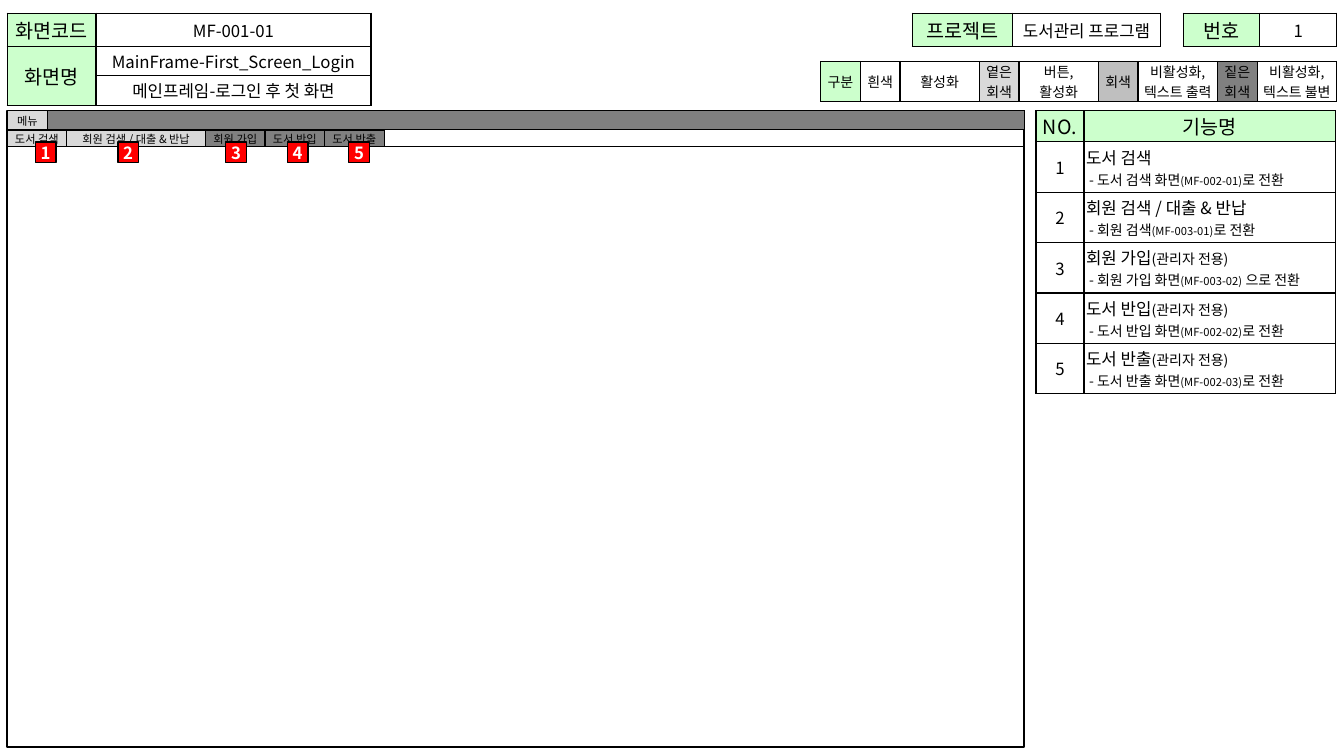
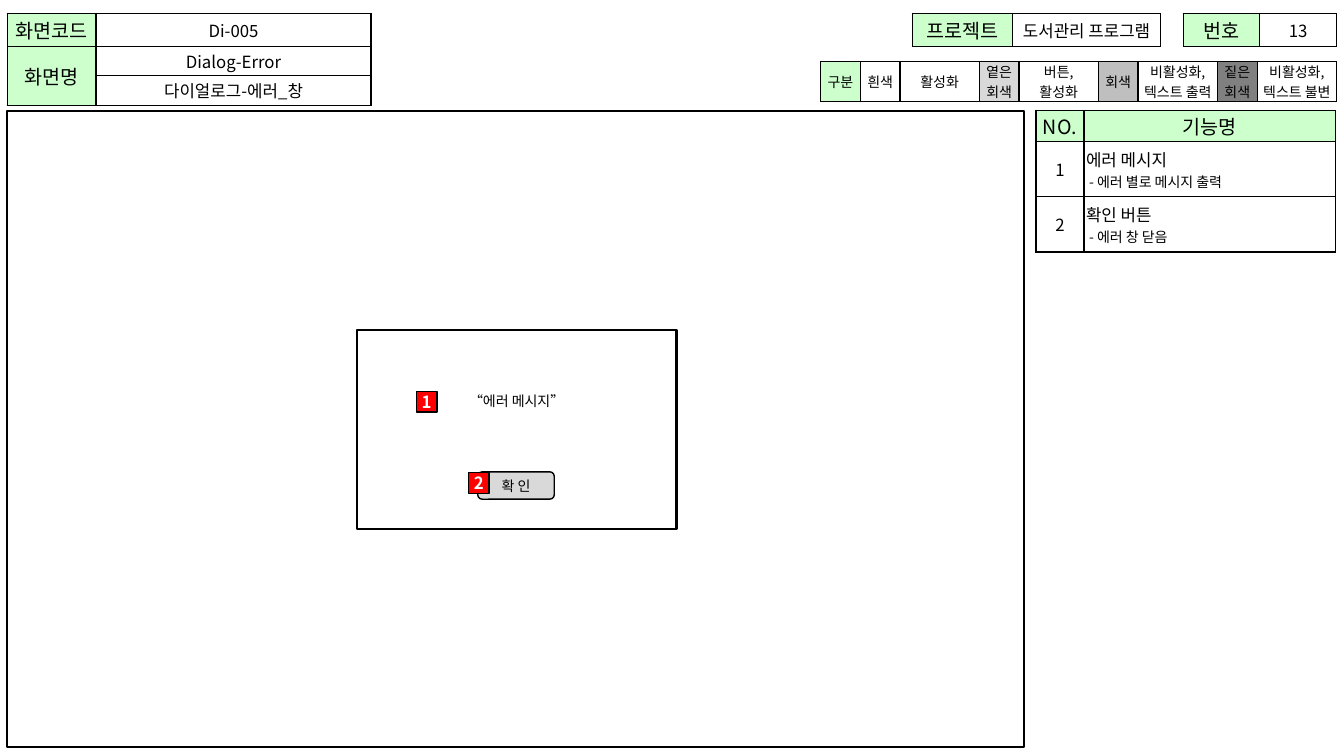
import pptx
import pptx.dml.color
import pptx.enum.shapes
import pptx.enum.text
import pptx.oxml
import pptx.oxml.ns
import pptx.util
from lxml import etree

Cm = pptx.util.Cm
Pt = pptx.util.Pt
qn = pptx.oxml.ns.qn
SHAPE = pptx.enum.shapes.MSO_SHAPE
ALIGN = pptx.enum.text.PP_ALIGN
MIDDLE = pptx.enum.text.MSO_ANCHOR.MIDDLE

FONT = "Noto Sans CJK KR"
BLACK, WHITE, RED = "000000", "FFFFFF", "FF0000"
GREEN, LIGHT, GREY, DARK = "CCFFCC", "D9D9D9", "BFBFBF", "808080"
LEFT, TOP = 0.18, 2.79
CANVAS_W, CANVAS_H = 25.63, 16.03
PAD = 0.05
ADMIN = ("(관리자 전용)", 10)


def rgb(value):
    """Return the colour for a hex string."""
    return pptx.dml.color.RGBColor.from_string(value)


def write(tf, lines, size, color=BLACK, bold=False, align=ALIGN.CENTER):
    """Write lines, each a string or a list of (text, size) runs."""
    for i, line in enumerate(lines):
        p = tf.add_paragraph() if i else tf.paragraphs[0]
        runs = [(line, size)] if isinstance(line, str) else line
        p.alignment = align
        p.font.name = FONT
        p.font.size = Pt(runs[0][1])
        p.font.bold = bold
        p.font.color.rgb = rgb(color)
        etree.SubElement(p.font._element, qn("a:ea"), typeface=FONT)
        for text, run_size in runs:
            if not text:
                etree.SubElement(p._p, qn("a:endParaRPr"), sz=str(run_size * 100))
                continue
            r = p.add_run()
            r.text = text
            if run_size != runs[0][1]:
                r.font.size = Pt(run_size)


def add_box(slide, x, y, w, h, fill=WHITE, width=1.0, kind=SHAPE.RECTANGLE):
    """Add an outlined shape, or a bare one when fill is None."""
    sp = slide.shapes.add_shape(kind, Cm(x), Cm(y), Cm(w), Cm(h))
    sp.shadow.inherit = False
    if fill is None:
        sp.fill.background()
        sp.line.fill.background()
    else:
        sp.fill.solid()
        sp.fill.fore_color.rgb = rgb(fill)
        sp.line.color.rgb = rgb(BLACK)
        sp.line.width = Pt(width)
    return sp


def add_label(sp, text, size, color=BLACK, bold=False, pad=PAD):
    """Put one centred line of text in a shape."""
    tf = sp.text_frame
    tf.word_wrap = True
    tf.vertical_anchor = MIDDLE
    tf.margin_left = tf.margin_right = Cm(pad)
    tf.margin_top = tf.margin_bottom = 0
    write(tf, [text], size, color, bold)


def add_badge(slide, number, x, y):
    """Add a red numbered marker."""
    add_label(add_box(slide, x, y, 0.52, 0.52, RED), str(number), 12, WHITE, True, 0)


def add_line(slide, x1, y1, x2, y2):
    """Add a thin black line."""
    line = slide.shapes.add_connector(
        pptx.enum.shapes.MSO_CONNECTOR.STRAIGHT, Cm(x1), Cm(y1), Cm(x2), Cm(y2))
    line.line.color.rgb = rgb(BLACK)
    line.line.width = Pt(1)
    etree.SubElement(line._element.spPr, qn("a:effectLst"))


def add_borders(cell):
    """Draw a black border on all four sides of a cell."""
    tc_pr = cell._tc.get_or_add_tcPr()
    for i, side in enumerate(("lnL", "lnR", "lnT", "lnB")):
        ln = etree.Element(qn("a:" + side), w=str(Pt(1)))
        fill = etree.SubElement(ln, qn("a:solidFill"))
        etree.SubElement(fill, qn("a:srgbClr"), val=BLACK)
        tc_pr.insert(i, ln)


def cell_of(text, size, fill=WHITE, align=ALIGN.CENTER):
    """Describe a table cell; text is a string or a list of lines."""
    return text.split("\n") if isinstance(text, str) else text, size, fill, align


def add_table(slide, x, y, cols, heights, rows, pad=0.0):
    """Add a bordered table; a cell of None joins the one above."""
    frame = slide.shapes.add_table(
        len(rows), len(cols), Cm(x), Cm(y), Cm(sum(cols)), Cm(sum(heights)))
    table = frame.table
    table.first_row = table.horz_banding = False
    for column, width in zip(table.columns, cols):
        column.width = Cm(width)
    for i, row in enumerate(rows):
        table.rows[i].height = Cm(heights[i])
        for j, content in enumerate(row):
            cell = table.cell(i, j)
            if content is None:
                table.cell(i - 1, j).merge(cell)
                add_borders(cell)
                continue
            lines, size, fill, align = content
            cell.fill.solid()
            cell.fill.fore_color.rgb = rgb(fill)
            cell.vertical_anchor = MIDDLE
            cell.margin_left = cell.margin_right = Cm(PAD)
            cell.margin_top = cell.margin_bottom = Cm(pad)
            write(cell.text_frame, lines, size, align=align)
            add_borders(cell)


def add_sheet(prs, code, name, title, number):
    """Add a slide with the shared header, legend and canvas."""
    slide = prs.slides.add_slide(prs.slide_layouts[6])
    add_box(slide, LEFT, TOP, CANVAS_W, CANVAS_H, width=1.5)
    add_table(slide, LEFT, 0.33, [2.24, 6.93], [0.84, 0.74, 0.74], [
        [cell_of("화면코드", 14, GREEN), cell_of(code, 12)],
        [cell_of("화면명", 14, GREEN), cell_of(name, 12)],
        [None, cell_of(title, 12)]], PAD)
    add_table(slide, 22.99, 0.33, [2.53, 3.73], [0.84], [
        [cell_of("프로젝트", 14, GREEN), cell_of("도서관리 프로그램", 12)]], PAD)
    add_table(slide, 29.82, 0.33, [1.93, 1.93], [0.84], [
        [cell_of("번호", 14, GREEN), cell_of(str(number), 12)]], PAD)
    legend = [("구분", GREEN), ("흰색", WHITE), ("활성화", WHITE),
              ("옅은\n회색", LIGHT), ("버튼,\n활성화", WHITE),
              ("회색", GREY), ("비활성화,\n텍스트 출력", WHITE),
              ("짙은\n회색", DARK), ("비활성화,\n텍스트 불변", WHITE)]
    add_table(slide, 20.68, 1.55, [1] + [1, 2] * 4, [0.46],
              [[cell_of(text, 10, fill) for text, fill in legend]])
    return slide


def add_functions(slide, row_height, functions):
    """List the numbered functions of the screen."""
    rows = [[cell_of("NO.", 14, GREEN), cell_of("기능명", 14, GREEN)]]
    for number, (heading, detail) in enumerate(functions, 1):
        rows.append([cell_of(str(number), 12),
                     cell_of([heading, detail], 12, align=ALIGN.LEFT)])
    add_table(slide, 26.11, TOP, [1.21, 6.34],
              [0.71] + [row_height] * len(functions), rows, 0.03)


def move_to(screen, code, ending="로 전환"):
    """Return the runs that tell which screen opens."""
    return [(" - " + screen, 10), (f"({code})", 8), (ending, 10)]


def build_main_frame(prs):
    """Build the first screen after login."""
    slide = add_sheet(prs, "MF-001-01", "MainFrame-First_Screen_Login",
                      "메인프레임-로그인 후 첫 화면", 1)
    add_table(slide, LEFT, TOP, [1.02, 24.61], [0.48],
              [[cell_of("메뉴", 8, LIGHT), cell_of("", 8, DARK)]])
    tabs = [("도서 검색", LIGHT), ("회원 검색 / 대출 & 반납", LIGHT),
            ("회원 가입", DARK), ("도서 반입", DARK), ("도서 반출", DARK)]
    add_table(slide, LEFT, 3.28, [1.5, 3.5, 1.5, 1.5, 1.5], [0.41],
              [[cell_of(text, 8, fill) for text, fill in tabs]])
    add_line(slide, LEFT, 3.69, LEFT + CANVAS_W, 3.69)
    add_functions(slide, 1.27, [
        ("도서 검색", move_to("도서 검색 화면", "MF-002-01")),
        ("회원 검색 / 대출 & 반납", move_to("회원 검색", "MF-003-01")),
        ([("회원 가입", 12), ADMIN],
         move_to("회원 가입 화면", "MF-003-02", " 으로 전환")),
        ([("도서 반입", 12), ADMIN], move_to("도서 반입 화면", "MF-002-02")),
        ([("도서 반출", 12), ADMIN], move_to("도서 반출 화면", "MF-002-03"))])
    for number, x in enumerate([0.89, 2.97, 5.69, 7.24, 8.79], 1):
        add_badge(slide, number, x, 3.58)


def build_error_dialog(prs):
    """Build the error dialog screen."""
    slide = add_sheet(prs, "Di-005", "Dialog-Error", "다이얼로그-에러_창", 13)
    add_box(slide, 9, 8.31, 8.05, 5.03, width=1.5)
    message = add_box(slide, 10.24, 9.75, 5.56, 0.69, None,
                      kind=SHAPE.ROUNDED_RECTANGLE)
    add_label(message, "“에러 메시지”", 10)
    confirm = add_box(slide, 12.04, 11.89, 1.93, 0.69, LIGHT,
                      kind=SHAPE.ROUNDED_RECTANGLE)
    add_label(confirm, "확 인", 10)
    add_badge(slide, 2, 11.81, 11.91)
    add_badge(slide, 1, 10.49, 9.86)
    add_functions(slide, 1.39, [
        ("에러 메시지", [(" - 에러 별로 메시지 출력", 10)]),
        ("확인 버튼", [(" - 에러 창 닫음", 10)])])


def main():
    """Build and save the presentation."""
    prs = pptx.Presentation()
    prs.slide_width = Cm(33.87)
    prs.slide_height = Cm(19.05)
    build_main_frame(prs)
    build_error_dialog(prs)
    prs.save("out.pptx")


main()
